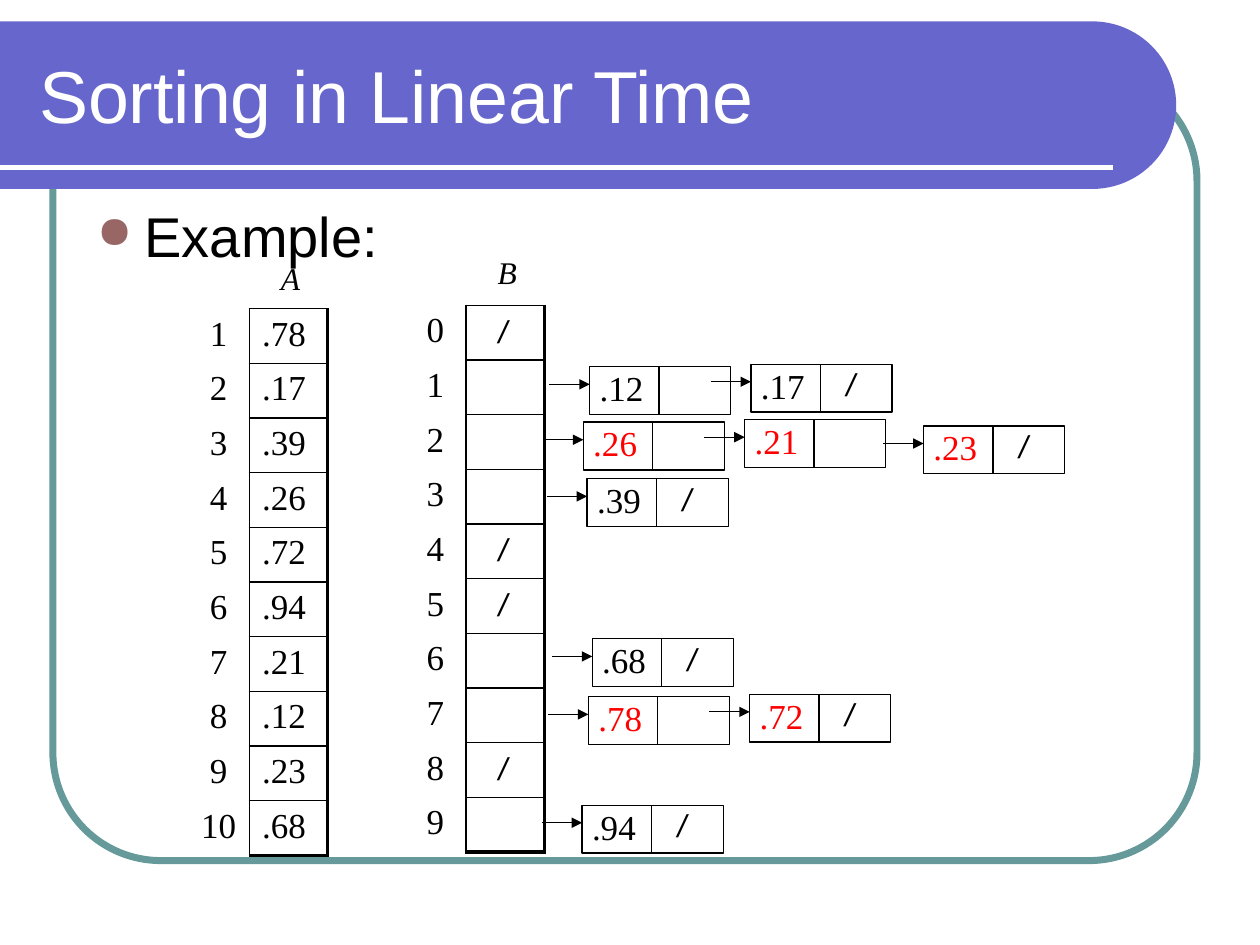
import math
from dataclasses import dataclass

import pptx
import pptx.dml.color
import pptx.enum.shapes
import pptx.enum.text
import pptx.oxml
import pptx.util
from pptx.util import Inches, Pt

# Content
TITLE = "Sorting in Linear Time"
BODY = "Example:"
VALUES = [".78", ".17", ".39", ".26", ".72", ".94", ".21", ".12", ".23", ".68"]
# bucket -> chain of (value, left, top); the last node of a chain ends in a slash
CHAINS = {
    1: [(".12", 4.68, 2.91), (".17", 5.96, 2.89)],
    2: [(".26", 4.63, 3.35), (".21", 5.91, 3.33), (".23", 7.33, 3.38)],
    3: [(".39", 4.66, 3.80)],
    6: [(".68", 4.70, 5.07)],
    7: [(".78", 4.67, 5.53), (".72", 5.95, 5.51)],
    9: [(".94", 4.62, 6.39)],
}
UNSORTED = {2, 7}  # buckets shown in red
BUCKETS = 10


@dataclass(frozen=True)
class Theme:
    band: str = "6666CC"
    frame: str = "669999"
    bullet: str = "996666"
    ink: str = "000000"
    paper: str = "FFFFFF"
    alert: str = "FF0000"
    sans: str = "Arial"
    serif: str = "Times New Roman"
    title: int = 42
    body: int = 32
    value: int = 20
    label: int = 18


T = Theme()
NS = 'xmlns:a="http://schemas.openxmlformats.org/drawingml/2006/main"'
NO_STYLE = "{2D5ABB26-0587-4C30-8999-92F81FD0307C}"
SHAPE = pptx.enum.shapes.MSO_SHAPE
ALIGN = pptx.enum.text.PP_ALIGN


def rgb(color):
    return pptx.dml.color.RGBColor.from_string(color)


def add_xml(parent, xml):
    """Append an element written as 'a:name ...' markup without its namespace."""
    end = min(i for i in (xml.find(" "), xml.find(">"), xml.find("/>")) if i > 0)
    parent.append(pptx.oxml.parse_xml(f"{xml[:end]} {NS}{xml[end:]}"))


def write(tf, text, size, font, color=T.ink, italic=False, align=ALIGN.LEFT):
    p = tf.paragraphs[0]
    p.alignment = align
    r = p.add_run()
    r.text = text
    r.font.size, r.font.name, r.font.italic = Pt(size), font, italic
    r.font.color.rgb = rgb(color)
    return p


def label(shapes, x, y, w, h, *style, **options):
    tf = shapes.add_textbox(*map(Inches, (x, y, w, h))).text_frame
    tf.word_wrap = False
    tf.auto_size = pptx.enum.text.MSO_AUTO_SIZE.SHAPE_TO_FIT_TEXT
    write(tf, *style, **options)


def outline(shapes, kind, x, y, w, h, color, width):
    sp = shapes.add_shape(kind, *map(Inches, (x, y, w, h)))
    sp.shadow.inherit = False
    sp.fill.background()
    sp.line.color.rgb, sp.line.width = rgb(color), Pt(width)
    return sp


def line(shapes, x1, y1, x2, y2, color=T.ink, width=0.75, arrow=False):
    c = shapes.add_connector(pptx.enum.shapes.MSO_CONNECTOR.STRAIGHT,
                             *map(Inches, (x1, y1, x2, y2)))
    c.line.color.rgb, c.line.width = rgb(color), Pt(width)
    if arrow:
        add_xml(c.line._get_or_add_ln(), '<a:tailEnd type="triangle"/>')
    add_xml(c._element.spPr, "<a:effectLst/>")


def slash(shapes, x, y):
    label(shapes, x, y, 0.3, 0.4, "/", T.label, T.sans, italic=True)


def borders(cell, **widths):
    tc_pr = cell._tc.get_or_add_tcPr()
    for side in "LRTB":
        width = widths.get(side, 0)
        fill = (f'<a:solidFill><a:srgbClr val="{T.ink}"/></a:solidFill>'
                if width else "<a:noFill/>")
        add_xml(tc_pr, f'<a:ln{side} w="{Pt(width)}">{fill}</a:ln{side}>')
    cell.fill.background()


def array_table(shapes, x, y, height, name, name_at, indices, values):
    """Index column beside a boxed value column, under an open first row."""
    rows, widths = len(indices) + 1, (0.49, 0.62)
    table = shapes.add_table(rows, 2, *map(Inches, (x, y, sum(widths), height))).table
    table.first_row = table.horz_banding = False
    table._tbl.tblPr[0].text = NO_STYLE
    for column, width in zip(table.columns, widths):
        column.width = Inches(width)
    for row in table.rows:
        row.height = Inches(height / rows)
    borders(table.cell(0, 0))
    borders(table.cell(0, 1), B=1)
    for i, (index, value) in enumerate(zip(indices, values), 1):
        left, right = table.cell(i, 0), table.cell(i, 1)
        write(left.text_frame, str(index), T.value, T.serif, align=ALIGN.CENTER)
        if value:
            write(right.text_frame, value, T.value, T.serif)
        borders(left, R=1)
        borders(right, L=1, T=1, R=2.25, B=2.25 if i == rows - 1 else 1)
    label(shapes, *name_at, 0.35, 0.4, name, T.label, T.serif, italic=True)


def node(shapes, value, x, y, color):
    """List node: two-part box with its value and the arrow leading to it."""
    g = shapes.add_group_shape().shapes
    w, h, split = 1.12, 0.38, 0.55
    outline(g, SHAPE.RECTANGLE, x, y, w, h, T.ink, 0.75)
    line(g, x + split, y, x + split, y + h)
    label(g, x - 0.02, y - 0.05, split, 0.43, value, T.value, T.serif, color)
    line(g, x - 0.32, y + 0.14, x, y + 0.14, arrow=True)


def backdrop(shapes):
    frame = outline(shapes, SHAPE.ROUNDED_RECTANGLE, 0.42, 0.58, 9.08, 6.25, T.frame, 4)
    frame.adjustments[0] = 0.137
    # Band with a half-round right end
    top, bottom, cx = 0.17, 1.5, 8.67
    radius, steps = (bottom - top) / 2, 48
    arc = [(cx + radius * math.sin(a), top + radius - radius * math.cos(a))
           for a in (math.pi * i / steps for i in range(steps + 1))]
    fb = shapes.build_freeform(0, Inches(top))
    fb.add_line_segments([(Inches(px), Inches(py)) for px, py in arc + [(0, bottom)]])
    band = fb.convert_to_shape()
    band.shadow.inherit = False
    band.fill.solid()
    band.fill.fore_color.rgb = rgb(T.band)
    band.line.fill.background()
    line(shapes, 0, 1.33, 8.83, 1.33, T.paper, 3)


def headings(s):
    title = s.shapes.title
    title.left, title.top, title.width, title.height = map(Inches, (0.21, 0.25, 8.77, 1))
    title.text_frame.vertical_anchor = pptx.enum.text.MSO_ANCHOR.MIDDLE
    write(title.text_frame, TITLE, T.title, T.sans, T.paper)
    s.shapes.element.append(title.element)  # in front of the band

    tf = s.shapes.add_textbox(*map(Inches, (0.67, 1.55, 8.67, 5.04))).text_frame
    tf.word_wrap = True
    p_pr = write(tf, BODY, T.body, T.sans)._p.get_or_add_pPr()
    p_pr.set("marL", str(Inches(0.38)))
    p_pr.set("indent", str(-Inches(0.38)))
    for xml in ('<a:spcBef><a:spcPct val="20000"/></a:spcBef>',
                f'<a:buClr><a:srgbClr val="{T.bullet}"/></a:buClr>',
                '<a:buSzPct val="80000"/>',
                '<a:buChar char="●"/>'):
        add_xml(p_pr, xml)


def main():
    prs = pptx.Presentation()
    prs.slide_width, prs.slide_height = Inches(10), Inches(7.5)
    s = prs.slides.add_slide(prs.slide_layouts[5])
    shapes = s.shapes
    backdrop(shapes)
    headings(s)

    # Input array A and bucket array B
    array_table(shapes, 1.49, 2.04, 4.5, "A", (2.13, 2.01),
                range(1, len(VALUES) + 1), VALUES)
    b_top, b_height = 1.99, 4.77
    array_table(shapes, 3.21, b_top, b_height, "B", (3.85, 1.96),
                range(BUCKETS), [""] * BUCKETS)

    # Linked lists, and a slash for each empty bucket
    for bucket in range(BUCKETS):
        chain = CHAINS.get(bucket, [])
        for value, x, y in chain:
            node(shapes, value, x, y, T.alert if bucket in UNSORTED else T.ink)
        if chain:
            slash(shapes, x + 0.66, y - 0.04)
        else:
            slash(shapes, 3.86, b_top + (bucket + 1) * b_height / (BUCKETS + 1))
    prs.save("out.pptx")


if __name__ == "__main__":
    main()
